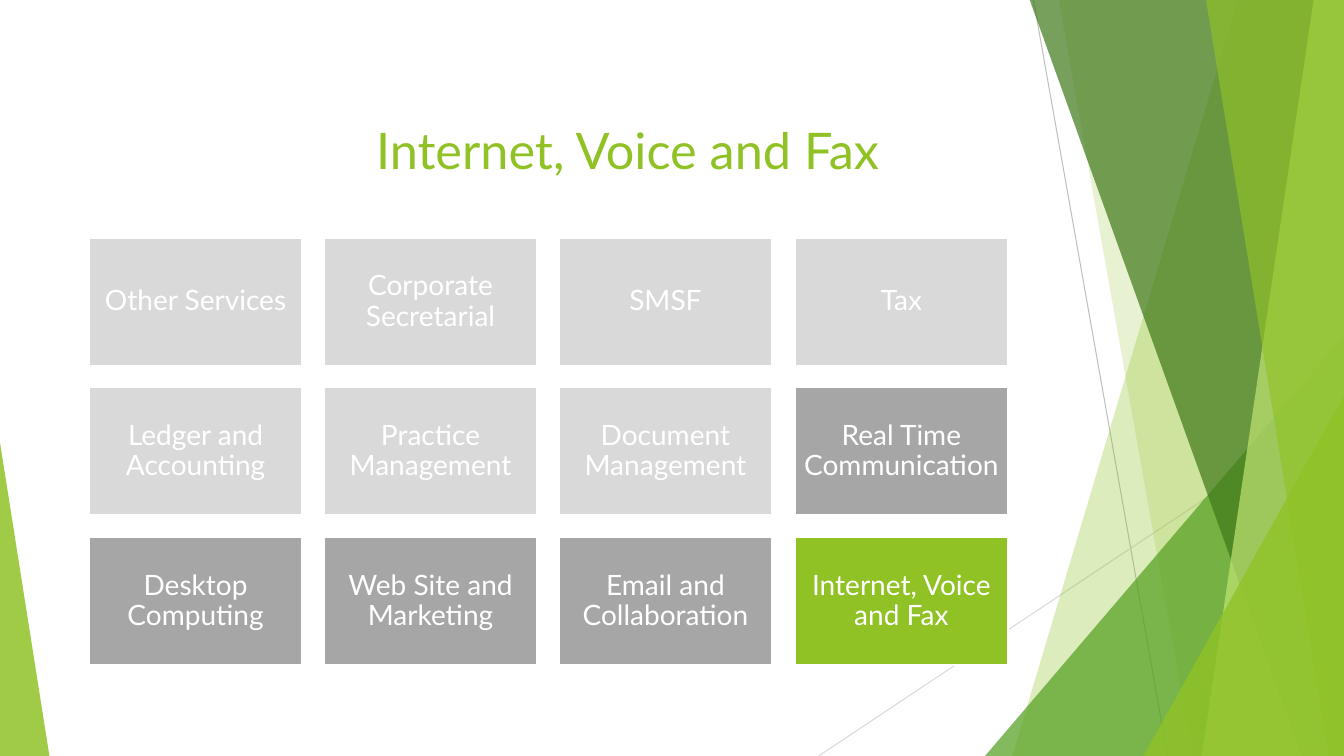
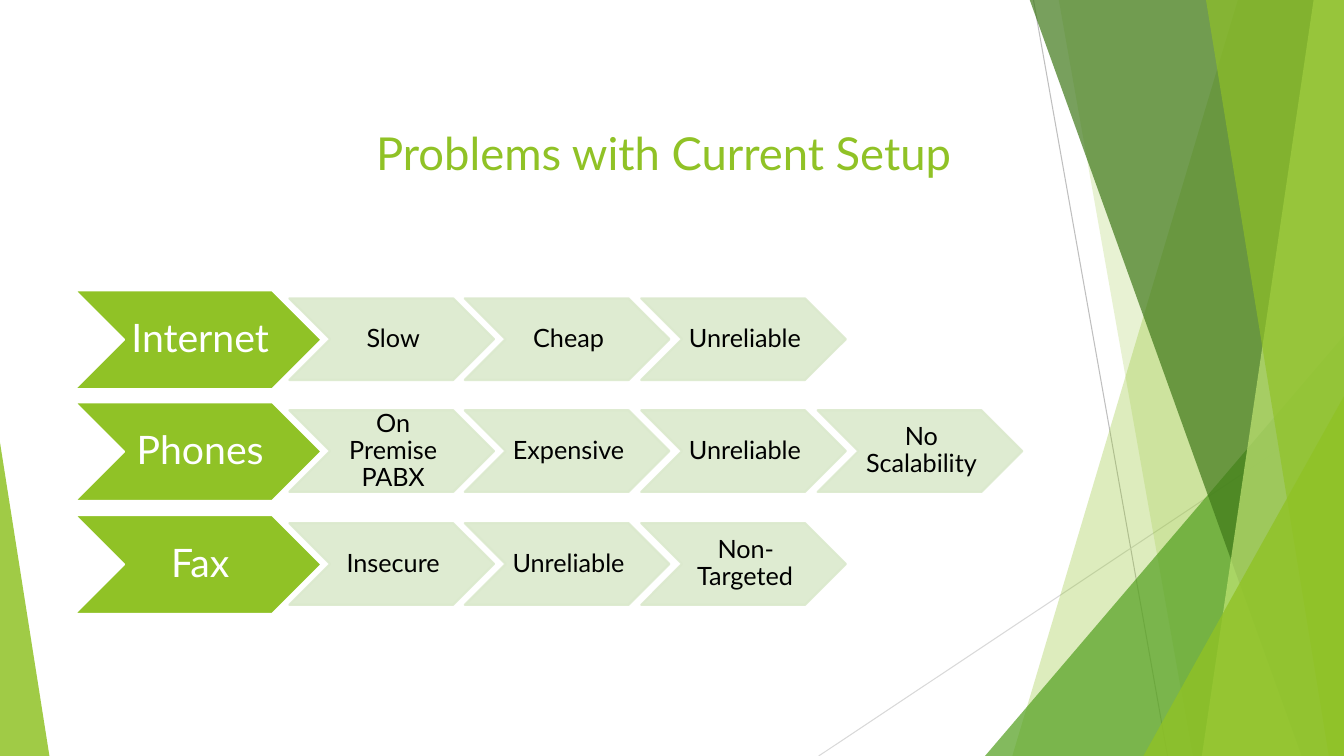
from dataclasses import dataclass

from lxml.etree import SubElement
from pptx import Presentation
from pptx.dml.color import RGBColor
from pptx.enum.shapes import MSO_CONNECTOR, MSO_SHAPE
from pptx.enum.text import MSO_ANCHOR, MSO_AUTO_SIZE, PP_ALIGN
from pptx.oxml.ns import qn
from pptx.util import Pt

PX = 9144  # EMU per px, 100 px to the inch
WIDTH, HEIGHT = 1333, 750


@dataclass(frozen=True)
class Theme:
    font: str = "Lato"
    lime: str = "90C226"
    green: str = "54A021"
    forest: str = "3F7819"
    pale_lime: str = "C0E474"
    mist: str = "DBE9CD"
    light_grey: str = "D9D9D9"
    line_grey: str = "BFBFBF"
    mid_grey: str = "A6A6A6"
    white: str = "FFFFFF"
    black: str = "000000"
    title: float = 36
    title_small: float = 32.4
    category: int = 28
    tile: int = 20
    step: int = 18


T = Theme()


def paint(sp, fill, alpha=100, line=None):
    """Give a shape a flat fill and an optional outline, both at alpha percent."""
    sp.shadow.inherit = False
    sp.fill.solid()
    sp.fill.fore_color.rgb = RGBColor.from_string(fill)
    if line:
        sp.line.color.rgb = RGBColor.from_string(line)
        sp.line.width = Pt(1.5)
    else:
        sp.line.fill.background()
    if alpha < 100:
        for clr in sp.element.spPr.iter(qn("a:srgbClr")):
            SubElement(clr, qn("a:alpha")).set("val", str(alpha * 1000))


def write(sp, text, size, color, align=PP_ALIGN.CENTER, spacing=0.9, **frame):
    """Put one formatted paragraph in a shape; frame holds text frame attributes."""
    tf = sp.text_frame
    frame = {"word_wrap": True, "auto_size": MSO_AUTO_SIZE.NONE,
             "vertical_anchor": MSO_ANCHOR.MIDDLE} | frame
    for name, value in frame.items():
        setattr(tf, name, value)
    p = tf.paragraphs[0]
    p.alignment, p.line_spacing = align, spacing
    r = p.add_run()
    r.text = text
    for name, value in {"name": T.font, "size": Pt(size)}.items():
        setattr(r.font, name, value)
    r.font.color.rgb = RGBColor.from_string(color)


prs = Presentation()
prs.slide_width, prs.slide_height = WIDTH * PX, HEIGHT * PX

# Shared layout: title place and faceted backdrop
layout = prs.slide_layouts[5]
title_place = {"left": 363, "top": 94, "width": 651, "height": 89}
for name, value in title_place.items():
    setattr(layout.placeholders[0], name, value * PX)

titles = [("Internet, Voice and Fax", T.title),
          ("Problems with Current Setup", T.title_small)]
slides = []
for text, size in titles:
    s = prs.slides.add_slide(layout)
    write(s.shapes.title, text, size, T.lime, PP_ALIGN.LEFT, 1.0,
          vertical_anchor=MSO_ANCHOR.BOTTOM)
    slides.append(s)
services, problems = slides

backdrop = []
for x1, y1, x2, y2, color in [(1025, 0, 1158, 750, T.line_grey),
                              (1333, 403, 812, 750, T.light_grey)]:
    line = services.shapes.add_connector(
        MSO_CONNECTOR.STRAIGHT, x1 * PX, y1 * PX, x2 * PX, y2 * PX)
    line.line.color.rgb = RGBColor.from_string(color)
    line.line.width = Pt(0.75)
    SubElement(line.element.spPr, qn("a:effectLst"))
    backdrop.append(line)

# Bands run to the right edge: top left x, bottom left x, colour, alpha
# Triangles: left, top, width, apex, colour, alpha
facets = [
    ("band", 1228, 1004, T.lime, 30),
    ("band", 1050, 1183, T.lime, 20),
    ("triangle", 977, 333, 356, 1, T.green, 72),
    ("band", 1021, 1291, T.forest, 70),
    ("band", 1303, 1192, T.pale_lime, 70),
    ("band", 1196, 1318, T.lime, 65),
    ("triangle", 1134, 393, 199, 1, T.lime, 80),
    ("triangle", 0, 439, 49, 0, T.lime, 85),
]
for kind, *place, color, alpha in facets:
    if kind == "band":
        top_x, bottom_x = place
        outline = services.shapes.build_freeform(top_x, -1, scale=PX)
        outline.add_line_segments(
            [(WIDTH, -1), (WIDTH, HEIGHT), (bottom_x, HEIGHT)], close=True)
        sp = outline.convert_to_shape()
    else:
        x, y, w, apex = place
        sp = services.shapes.add_shape(MSO_SHAPE.ISOSCELES_TRIANGLE, x * PX,
                                       y * PX, w * PX, (HEIGHT - y) * PX)
        sp.adjustments[0] = apex
    paint(sp, color, alpha)
    backdrop.append(sp)

for number, sp in enumerate(backdrop, 101):
    sp.element.xpath(".//p:cNvPr")[0].set("id", str(number))
    layout.shapes.element.append(sp.element)

# Slide 1: grid of services
tiles = [
    ("Other Services", T.light_grey), ("Corporate Secretarial", T.light_grey),
    ("SMSF", T.light_grey), ("Tax", T.light_grey),
    ("Ledger and Accounting", T.light_grey), ("Practice Management", T.light_grey),
    ("Document Management", T.light_grey), ("Real Time Communication", T.mid_grey),
    ("Desktop Computing", T.mid_grey), ("Web Site and Marketing", T.mid_grey),
    ("Email and Collaboration", T.mid_grey), ("Internet, Voice and Fax", T.lime),
]
sides = ("margin_left", "margin_top", "margin_right", "margin_bottom")
tile_margins = dict.fromkeys(sides, 8 * PX)
for i, (text, color) in enumerate(tiles):
    row, col = divmod(i, 4)
    x, y = 88 + 700 * col // 3, 236 + 297 * row // 2
    sp = services.shapes.add_shape(
        MSO_SHAPE.RECTANGLE, x * PX, y * PX, 212 * PX, 127 * PX)
    paint(sp, color, line=T.white)
    write(sp, text, T.tile, T.white, **tile_margins)

# Slide 2: a row of chevrons for each service
rows = [
    ("Internet", ["Slow", "Cheap", "Unreliable"]),
    ("Phones", ["On Premise PABX", "Expensive", "Unreliable", "No Scalability"]),
    ("Fax", ["Insecure", "Unreliable", "Non-Targeted"]),
]
category_margins = dict(zip(sides, (4 * PX, 2 * PX, 0, 2 * PX)))
step_margins = dict(zip(sides, (3 * PX, PX, 0, PX)))
for row, (category, steps) in enumerate(rows):
    y = 288 + 223 * row // 2
    sp = problems.shapes.add_shape(
        MSO_SHAPE.CHEVRON, 74 * PX, y * PX, 245 * PX, 98 * PX)
    paint(sp, T.lime, line=T.white)
    write(sp, category, T.category, T.white, **category_margins)
    for col, step in enumerate(steps):
        x = 287 + 524 * col // 3
        sp = problems.shapes.add_shape(
            MSO_SHAPE.CHEVRON, x * PX, (y + 8) * PX, 203 * PX, 81 * PX)
        paint(sp, T.mist, 90, T.mist)
        write(sp, step, T.step, T.black, **step_margins)

prs.save("out.pptx")
